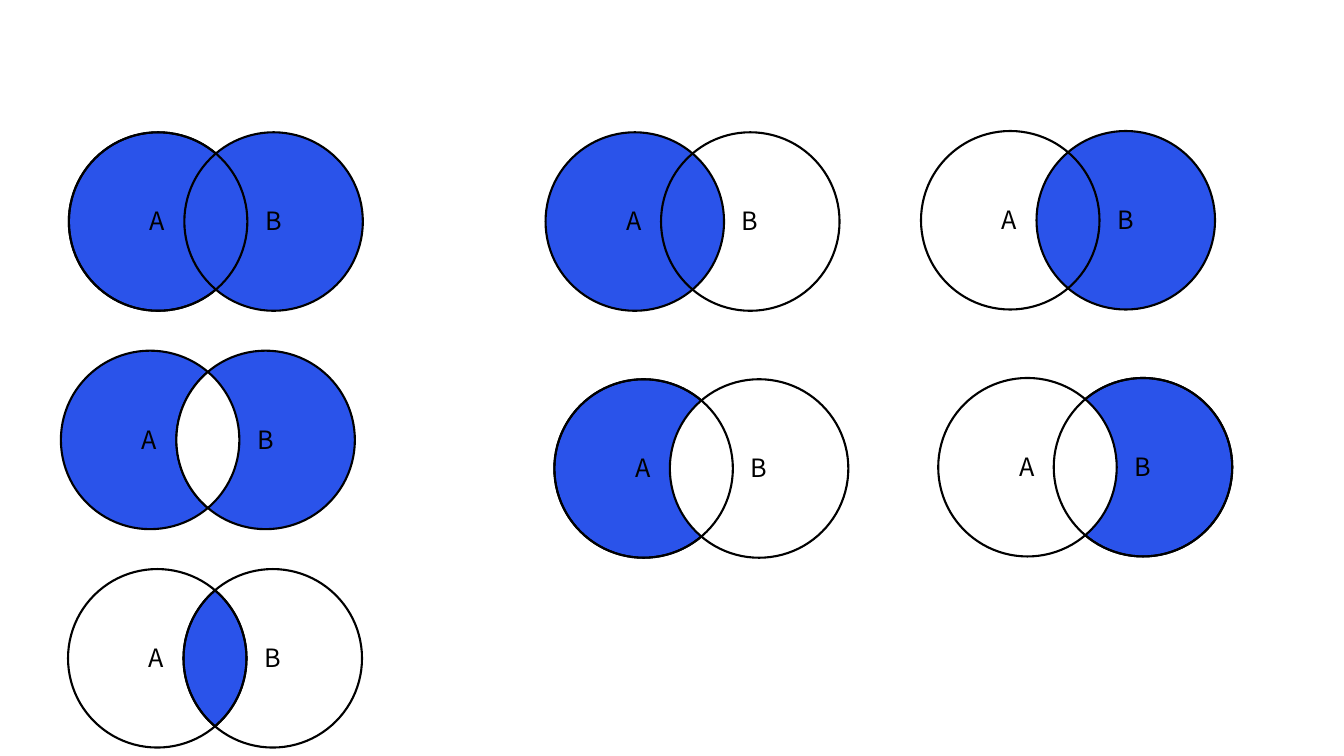
from math import acos, cos, pi, sin

from pptx import Presentation
from pptx.dml.color import RGBColor
from pptx.enum.shapes import MSO_SHAPE
from pptx.enum.text import MSO_AUTO_SIZE
from pptx.util import Inches, Pt

OVAL = MSO_SHAPE.OVAL
FIT_SHAPE = MSO_AUTO_SIZE.SHAPE_TO_FIT_TEXT
COLORS = {"blue": "2A53EA", "white": "FFFFFF", "black": "000000"}
FONT = {"name": "Noto Sans CJK SC", "size": Pt(18)}

# Grid of 160 columns by 90 rows; all lengths below are in cells
COLUMNS, ROWS = 160, 90
CELL = Inches(7.5) / ROWS
DIAMETER = 21.25
RADIUS = DIAMETER / 2
CENTER_GAP = 13.75
CIRCLE_SHIFT = {"A": 0, "B": CENTER_GAP}
LABEL_WIDTH = {"A": 4.3, "B": 4.1}
LABEL_LEFT, LABEL_TOP, LABEL_HEIGHT = 8.45, 8.15, 4.85
ARC_STEPS = 32

# Each diagram: left column, top row, layers from back to front
DIAGRAMS = [
    # Union, symmetric difference and intersection
    (8.2, 15.75, [("A", "blue"), ("B", "blue"), ("A", None)]),
    (7.25, 41.75, [("A", "blue"), ("B", "blue"), ("lens", "white")]),
    (8.1, 67.75, [("lens", "blue"), ("A", None), ("B", None)]),
    # Whole set A, whole set B
    (64.95, 15.75, [("A", "blue"), ("B", None)]),
    (109.65, 15.6, [("B", "blue"), ("A", None)]),
    # A without B, B without A
    (66, 45.15, [("A", "blue"), ("B", "white"), ("A", None)]),
    (111.7, 45, [("B", "blue"), ("A", "white"), ("B", None)]),
]


def cells(*values):
    return [round(value * CELL) for value in values]


def color(name):
    return RGBColor.from_string(COLORS[name])


def style_shape(shape, fill):
    shape.shadow.inherit = False
    if fill:
        shape.fill.solid()
        shape.fill.fore_color.rgb = color(fill)
    else:
        shape.fill.background()
    shape.line.color.rgb = color("black")
    shape.line.width = Pt(1.5)


def add_circle(slide, left, top, fill):
    shape = slide.shapes.add_shape(OVAL, *cells(left, top, DIAMETER, DIAMETER))
    style_shape(shape, fill)


def arc_points(center_x, center_y, middle, half_angle):
    angles = [middle + half_angle * (2 * step / ARC_STEPS - 1)
              for step in range(ARC_STEPS + 1)]
    return [cells(center_x + RADIUS * cos(angle), center_y + RADIUS * sin(angle))
            for angle in angles]


def add_lens(slide, left, top, fill):
    """Overlap of the two circles: right arc of A, then left arc of B."""
    half_angle = acos(CENTER_GAP / DIAMETER)
    center_x, center_y = left + RADIUS, top + RADIUS
    points = arc_points(center_x, center_y, 0, half_angle)
    points += arc_points(center_x + CENTER_GAP, center_y, pi, half_angle)
    builder = slide.shapes.build_freeform(*points[0])
    builder.add_line_segments(points[1:], close=True)
    style_shape(builder.convert_to_shape(), fill)


def add_label(slide, left, top, text):
    box = slide.shapes.add_textbox(*cells(
        left + LABEL_LEFT, top + LABEL_TOP, LABEL_WIDTH[text], LABEL_HEIGHT))
    frame = box.text_frame
    frame.word_wrap = False
    frame.auto_size = FIT_SHAPE
    run = frame.paragraphs[0].add_run()
    run.text = text
    for attribute, value in FONT.items():
        setattr(run.font, attribute, value)
    run.font.color.rgb = color("black")


def add_venn(slide, left, top, layers):
    for part, fill in layers:
        if part == "lens":
            add_lens(slide, left, top, fill)
        else:
            add_circle(slide, left + CIRCLE_SHIFT[part], top, fill)
    for text, shift in CIRCLE_SHIFT.items():
        add_label(slide, left + shift, top, text)


def main():
    presentation = Presentation()
    presentation.slide_width, presentation.slide_height = cells(COLUMNS, ROWS)
    slide = presentation.slides.add_slide(presentation.slide_layouts[6])
    for left, top, layers in DIAGRAMS:
        add_venn(slide, left, top, layers)
    presentation.save("out.pptx")


if __name__ == "__main__":
    main()
